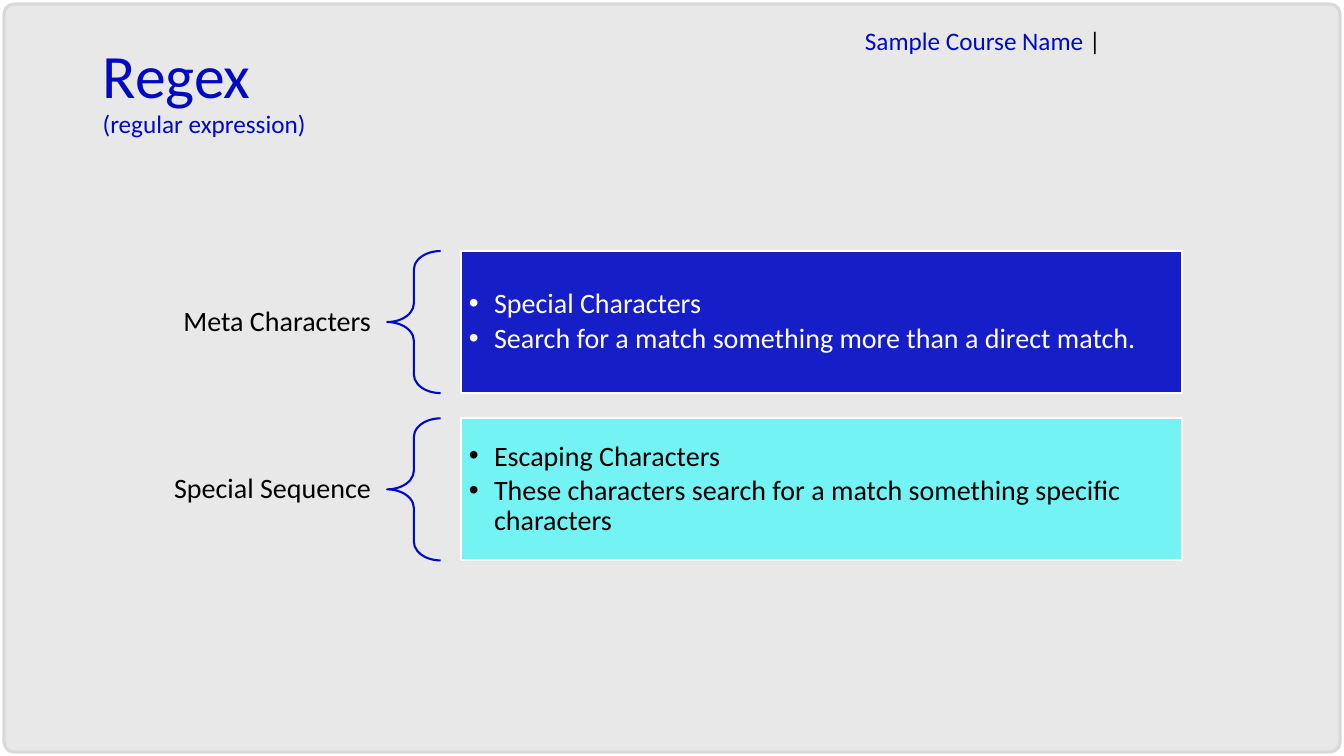
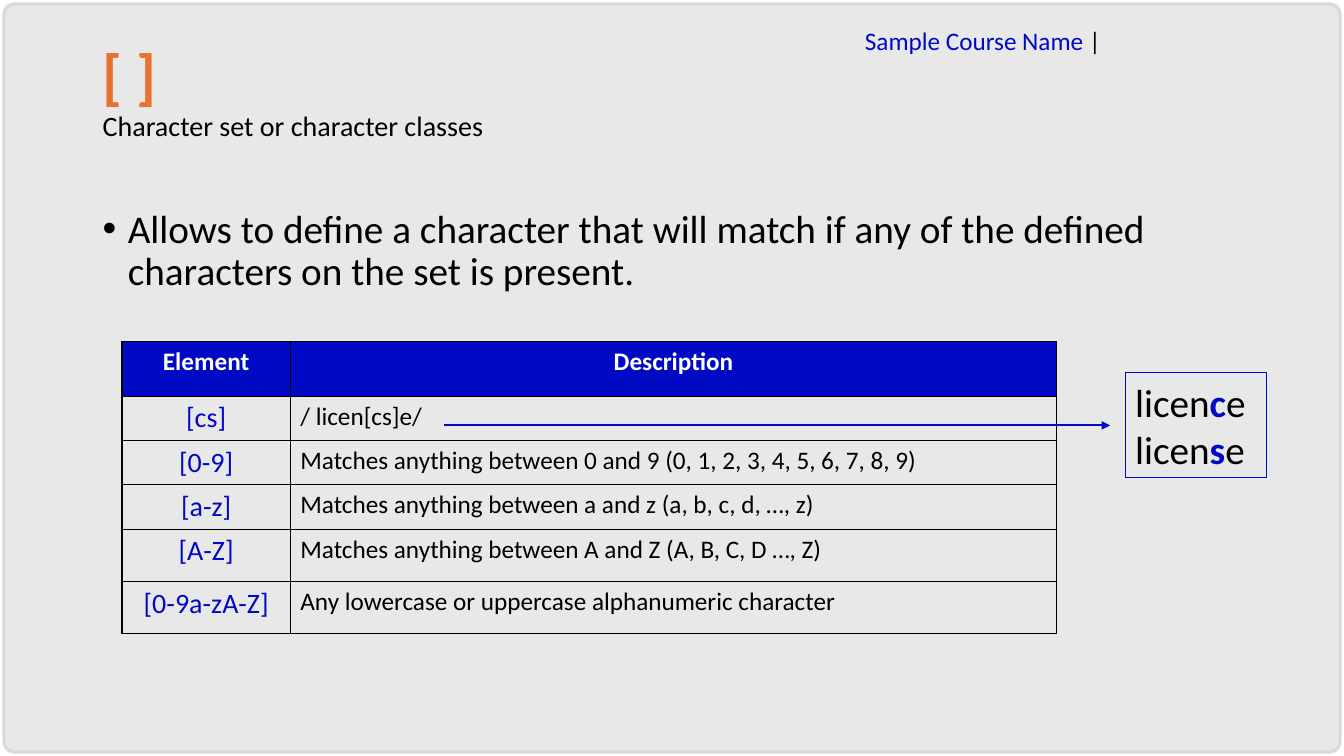
import pptx
import pptx.dml.color
import pptx.enum.shapes
import pptx.enum.text
import pptx.oxml
import pptx.oxml.ns
import pptx.util
from lxml import etree

Inches = pptx.util.Inches
Pt = pptx.util.Pt
RGBColor = pptx.dml.color.RGBColor
Shape = pptx.enum.shapes.MSO_SHAPE
Align = pptx.enum.text.PP_ALIGN
Anchor = pptx.enum.text.MSO_ANCHOR
qn = pptx.oxml.ns.qn

BLUE = RGBColor(0x00, 0x09, 0xC4)
CYAN = RGBColor(0x00, 0xFF, 0xFF)
ORANGE = RGBColor(0xE9, 0x71, 0x32)
BLACK = RGBColor(0x00, 0x00, 0x00)
WHITE = RGBColor(0xFF, 0xFF, 0xFF)
PANEL_GREY = RGBColor(0xE8, 0xE8, 0xE8)
EDGE_GREY = RGBColor(0xD9, 0xD9, 0xD9)
FONT = "Calibri"
HEADER = "Sample Course Name "
TITLE_LEFT = 0.92
CONTENT_LEFT = 1.21
TITLE_WIDTH = 11.5

GROUPS = [
    ("Meta Characters",
     ["Special Characters",
      "Search for a match something more than a direct match."],
     BLUE, 90, WHITE),
    ("Special Sequence",
     ["Escaping Characters",
      "These characters search for a match something specific characters"],
     CYAN, 50, BLACK),
]
GROUP_TOP, GROUP_HEIGHT, GROUP_STEP = 2.49, 1.41, 1.66

CHARACTER_SETS = [
    ("Element", "Description"),
    ("[cs]", "/ licen[cs]e/"),
    ("[0-9]", "Matches anything between 0 and 9 (0, 1, 2, 3, 4, 5, 6, 7, 8, 9)"),
    ("[a-z]", "Matches anything between a and z (a, b, c, d, …, z)"),
    ("[A-Z]", "Matches anything between A and Z (A, B, C, D …, Z)"),
    ("[0-9a-zA-Z]", "Any lowercase or uppercase alphanumeric character"),
]
COLUMN_WIDTHS = [1.67, 7.6]
ROW_HEIGHTS = [0.54, 0.44, 0.44, 0.44, 0.52, 0.52]


def style_run(run, size, color, bold=False):
    run.font.name = FONT
    run.font.size = Pt(size)
    run.font.color.rgb = color
    run.font.bold = bold


def write(paragraph, text, size, color, bold=False):
    paragraph.text = text
    for run in paragraph.runs:
        style_run(run, size, color, bold)


def write_parts(paragraph, parts, size):
    """Fill a paragraph with (text, color, bold) runs."""
    for text, color, bold in parts:
        run = paragraph.add_run()
        run.text = text
        style_run(run, size, color, bold)


def add_bullet(paragraph):
    properties = paragraph._p.get_or_add_pPr()
    properties.set("marL", str(Inches(0.25)))
    properties.set("indent", str(Inches(-0.25)))
    etree.SubElement(properties, qn("a:buFont")).set("typeface", "Arial")
    etree.SubElement(properties, qn("a:buChar")).set("char", "•")


def set_margins(frame, horizontal, vertical):
    frame.margin_left = frame.margin_right = Inches(horizontal)
    frame.margin_top = frame.margin_bottom = Inches(vertical)


def add_text_box(slide, left, top, width, height, wrap=True):
    box = slide.shapes.add_textbox(
        Inches(left), Inches(top), Inches(width), Inches(height))
    box.text_frame.word_wrap = wrap
    return box.text_frame


def add_outlined(slide, kind, left, top, width, height, line, line_width, fill=None):
    shape = slide.shapes.add_shape(
        kind, Inches(left), Inches(top), Inches(width), Inches(height))
    shape.shadow.inherit = False
    shape.line.color.rgb = line
    shape.line.width = Pt(line_width)
    if fill is None:
        shape.fill.background()
    else:
        shape.fill.solid()
        shape.fill.fore_color.rgb = fill
    return shape


def set_opacity(shape, percent):
    color = shape.fill._xPr.find(qn("a:solidFill"))[0]
    etree.SubElement(color, qn("a:alpha")).set("val", str(percent * 1000))


def add_page(deck):
    """Add a slide with the shared panel and header."""
    slide = deck.slides.add_slide(deck.slide_layouts[6])
    panel = add_outlined(slide, Shape.ROUNDED_RECTANGLE, 0.04, 0.04, 13.25, 7.42,
                         EDGE_GREY, 2.25, PANEL_GREY)
    panel.adjustments[0] = 0.013
    header = add_text_box(slide, 8.48, 0.2, 2.92, 0.4, wrap=False)
    write_parts(header.paragraphs[0],
                [(HEADER, BLUE, False), ("|", BLACK, False)], 18)
    return slide


def add_title(slide, title, subtitle, color, bold, subtitle_size, subtitle_color):
    paragraph = add_text_box(
        slide, TITLE_LEFT, 0.4, TITLE_WIDTH, 1.45).paragraphs[0]
    paragraph.line_spacing = 0.9
    paragraph.text = f"{title}\v{subtitle}"
    title_run, subtitle_run = paragraph.runs
    style_run(title_run, 44, color, bold)
    style_run(subtitle_run, subtitle_size, subtitle_color)


def add_group(slide, top, label, points, fill, opacity, text_color):
    """Add a label, its brace and the box of points it covers."""
    caption = add_text_box(slide, CONTENT_LEFT, top, 2.63, GROUP_HEIGHT)
    set_margins(caption, 0.16, 0.06)
    caption.vertical_anchor = Anchor.MIDDLE
    caption.paragraphs[0].alignment = Align.RIGHT
    caption.paragraphs[0].line_spacing = 0.9
    write(caption.paragraphs[0], label, 20, BLACK)

    brace = add_outlined(slide, Shape.LEFT_BRACE, 3.84, top, 0.53, GROUP_HEIGHT,
                         BLUE, 1.5)
    brace.adjustments[0] = 0.35

    box = add_outlined(slide, Shape.RECTANGLE, 4.57, top, 7.15, GROUP_HEIGHT,
                       WHITE, 1.5, fill)
    set_opacity(box, opacity)
    frame = box.text_frame
    frame.word_wrap = True
    frame.vertical_anchor = Anchor.MIDDLE
    set_margins(frame, 0.08, 0.08)
    frame.text = "\n".join(points)
    for paragraph, point in zip(frame.paragraphs, points):
        paragraph.alignment = Align.LEFT
        paragraph.line_spacing = 0.9
        paragraph.space_after = Pt(3)
        add_bullet(paragraph)
        write(paragraph, point, 20, text_color)


def add_borders(cell):
    properties = cell._tc.get_or_add_tcPr()
    for side in ("a:lnL", "a:lnR", "a:lnT", "a:lnB"):
        border = etree.SubElement(properties, qn(side), w=str(Pt(1)))
        fill = etree.SubElement(border, qn("a:solidFill"))
        etree.SubElement(fill, qn("a:srgbClr"), val=str(BLACK))


def add_character_table(slide):
    table = slide.shapes.add_table(
        len(CHARACTER_SETS), len(COLUMN_WIDTHS), Inches(CONTENT_LEFT), Inches(3.39),
        Inches(sum(COLUMN_WIDTHS)), Inches(sum(ROW_HEIGHTS))).table
    table.horz_banding = False
    for column, width in zip(table.columns, COLUMN_WIDTHS):
        column.width = Inches(width)
    for row, height in zip(table.rows, ROW_HEIGHTS):
        row.height = Inches(height)
    for row_index, texts in enumerate(CHARACTER_SETS):
        for column_index, text in enumerate(texts):
            cell = table.cell(row_index, column_index)
            paragraph = cell.text_frame.paragraphs[0]
            is_header, is_element = row_index == 0, column_index == 0
            add_borders(cell)
            if is_header:
                cell.fill.solid()
                cell.fill.fore_color.rgb = BLUE
                write(paragraph, text, 18, WHITE, bold=True)
            else:
                cell.fill.background()
                write(paragraph, text, 20 if is_element else 18,
                      BLUE if is_element else BLACK)
            paragraph.alignment = (
                Align.CENTER if is_header or is_element else Align.LEFT)


def add_matches(slide):
    """Add the box of matching spellings and the arrow that leads to it."""
    matches = add_outlined(slide, Shape.RECTANGLE, 11.16, 3.7, 1.4, 1.04, BLUE, 0.75)
    frame = matches.text_frame
    frame.word_wrap = False
    frame.vertical_anchor = Anchor.TOP
    for paragraph, letter in zip((frame.paragraphs[0], frame.add_paragraph()), "cs"):
        paragraph.alignment = Align.LEFT
        write_parts(paragraph, [("licen", BLACK, False), (letter, BLUE, True),
                                ("e", BLACK, False)], 28)

    arrow = slide.shapes.add_connector(
        pptx.enum.shapes.MSO_CONNECTOR.STRAIGHT,
        Inches(4.4), Inches(4.22), Inches(11.01), Inches(4.22))
    arrow.line.color.rgb = BLUE
    arrow.line.width = Pt(1.5)
    etree.SubElement(arrow.line._get_or_add_ln(), qn("a:tailEnd"), type="triangle")
    etree.SubElement(arrow._element.spPr, qn("a:effectLst"))


def build_regex_slide(deck):
    slide = add_page(deck)
    add_title(slide, "Regex", "(regular expression)", BLUE, False, 18, BLUE)
    for index, group in enumerate(GROUPS):
        add_group(slide, GROUP_TOP + index * GROUP_STEP, *group)


def build_character_set_slide(deck):
    slide = add_page(deck)
    add_title(slide, "[ ]", "Character set or character classes",
              ORANGE, True, 20, BLACK)
    definition = add_text_box(
        slide, TITLE_LEFT, 2.03, TITLE_WIDTH, 1.2).paragraphs[0]
    definition.line_spacing = 0.9
    definition.space_before = Pt(10)
    add_bullet(definition)
    write(definition, "Allows to define a character that will match if any of the "
          "defined characters on the set is present.", 28, BLACK)
    add_character_table(slide)
    add_matches(slide)


def main():
    deck = pptx.Presentation()
    deck.slide_width = Inches(13.33)
    deck.slide_height = Inches(7.5)
    build_regex_slide(deck)
    build_character_set_slide(deck)
    deck.save("out.pptx")


if __name__ == "__main__":
    main()
